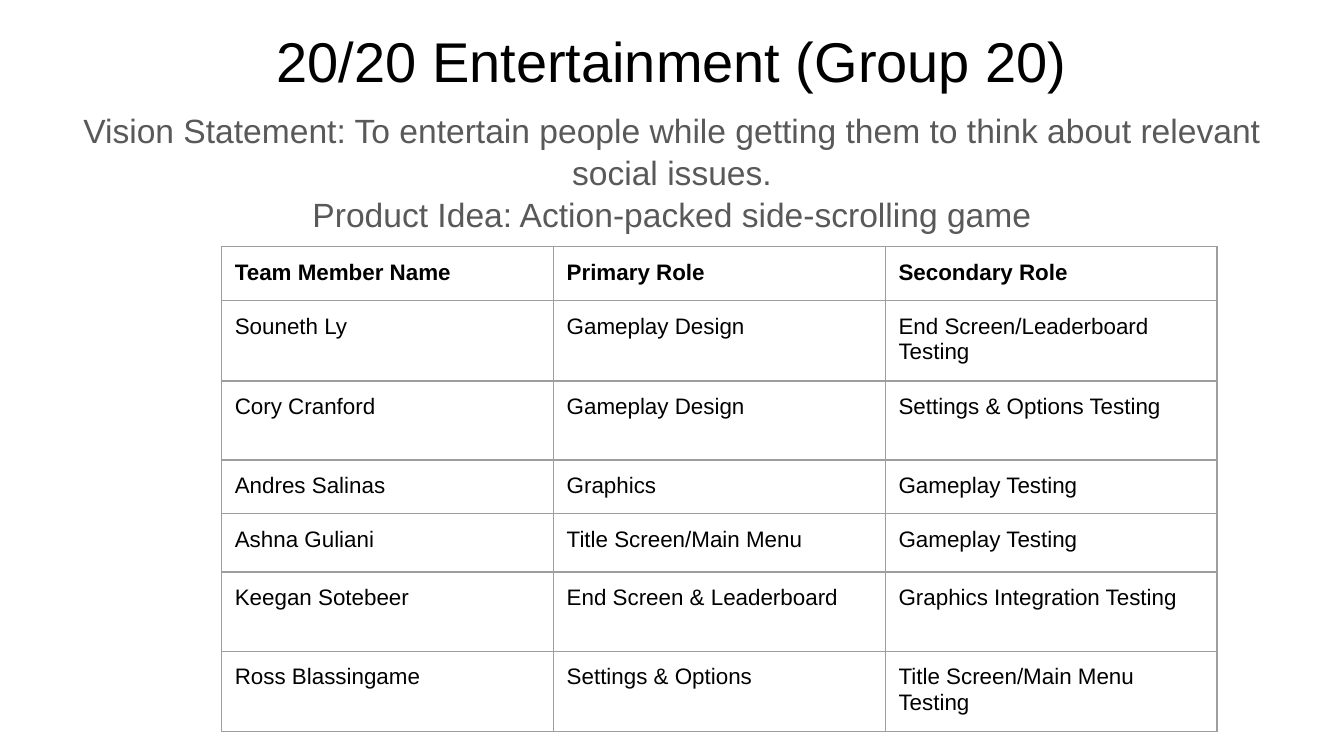
from dataclasses import dataclass
from lxml import etree
from pptx import Presentation
from pptx.dml.color import RGBColor
from pptx.enum.text import MSO_ANCHOR, PP_ALIGN
from pptx.oxml.ns import qn
from pptx.util import Pt

CENTER, LEFT = PP_ALIGN.CENTER, PP_ALIGN.LEFT
TOP, BOTTOM = MSO_ANCHOR.TOP, MSO_ANCHOR.BOTTOM
COLORS = {"black": "000000", "gray": "595959", "border": "9E9E9E"}
FONT = "Arial"
INSET = Pt(7.2)


@dataclass
class Heading:
    top: float
    height: float
    lines: list[str]
    size: float
    color: str
    anchor: int
    spacing: float


@dataclass
class Member:
    name: str
    primary: str
    secondary: str
    height: float


HEADINGS = [
    Heading(0, 57.6, ["20/20 Entertainment (Group 20)"], 30, "black", BOTTOM, 1),
    Heading(50.4, 89.3, [
        "Vision Statement: To entertain people while getting them to think "
        "about relevant social issues.",
        "Product Idea: Action-packed side-scrolling game",
    ], 18, "gray", TOP, 1.05),
]
SHORT, MEDIUM, TALL = 27.7, 31.2, 42.4
MEMBERS = [
    Member("Team Member Name", "Primary Role", "Secondary Role", SHORT),
    Member("Souneth Ly", "Gameplay Design", "End Screen/Leaderboard Testing", TALL),
    Member("Cory Cranford", "Gameplay Design", "Settings & Options Testing", TALL),
    Member("Andres Salinas", "Graphics", "Gameplay Testing", SHORT),
    Member("Ashna Guliani", "Title Screen/Main Menu", "Gameplay Testing", MEDIUM),
    Member("Keegan Sotebeer", "End Screen & Leaderboard", "Graphics Integration Testing", TALL),
    Member("Ross Blassingame", "Settings & Options", "Title Screen/Main Menu Testing", TALL),
]
TABLE_LEFT, TABLE_TOP, COL_WIDTH = 118.6, 132, 177.8


def style(p, size: float, color: str, align, bold: bool = False) -> None:
    p.alignment = align
    p.font.name = FONT
    p.font.size = Pt(size)
    p.font.bold = bold
    p.font.color.rgb = RGBColor.from_string(COLORS[color])


def set_insets(target) -> None:
    target.margin_left = target.margin_right = INSET
    target.margin_top = target.margin_bottom = INSET


def add_heading(s, heading: Heading) -> None:
    sp = s.shapes.add_textbox(Pt(24.5), Pt(heading.top), Pt(671), Pt(heading.height))
    tf = sp.text_frame
    tf.word_wrap = True
    tf.vertical_anchor = heading.anchor
    set_insets(tf)
    tf.text = "\n".join(heading.lines)
    for p in tf.paragraphs:
        style(p, heading.size, heading.color, CENTER)
        p.line_spacing = heading.spacing


def add_borders(cell) -> None:
    tc_pr = cell._tc.get_or_add_tcPr()
    for i, side in enumerate(("lnL", "lnR", "lnT", "lnB")):
        ln = etree.Element(qn(f"a:{side}"), w=str(Pt(0.75)))
        fill = etree.SubElement(ln, qn("a:solidFill"))
        etree.SubElement(fill, qn("a:srgbClr"), val=COLORS["border"])
        tc_pr.insert(i, ln)


def add_team_table(s, members: list[Member]) -> None:
    height = sum(m.height for m in members)
    table = s.shapes.add_table(len(members), 3, Pt(TABLE_LEFT), Pt(TABLE_TOP),
                               Pt(3 * COL_WIDTH), Pt(height)).table
    table.first_row = table.horz_banding = False
    for col in table.columns:
        col.width = Pt(COL_WIDTH)
    for i, m in enumerate(members):
        table.rows[i].height = Pt(m.height)
        for j, text in enumerate((m.name, m.primary, m.secondary)):
            cell = table.cell(i, j)
            cell.text = text
            cell.fill.background()
            set_insets(cell)
            style(cell.text_frame.paragraphs[0], 12, "black", LEFT, bold=i == 0)
            add_borders(cell)


prs = Presentation()
prs.slide_width, prs.slide_height = Pt(720), Pt(405)
s = prs.slides.add_slide(prs.slide_layouts[6])
for heading in HEADINGS:
    add_heading(s, heading)
add_team_table(s, MEMBERS)
prs.save("out.pptx")
